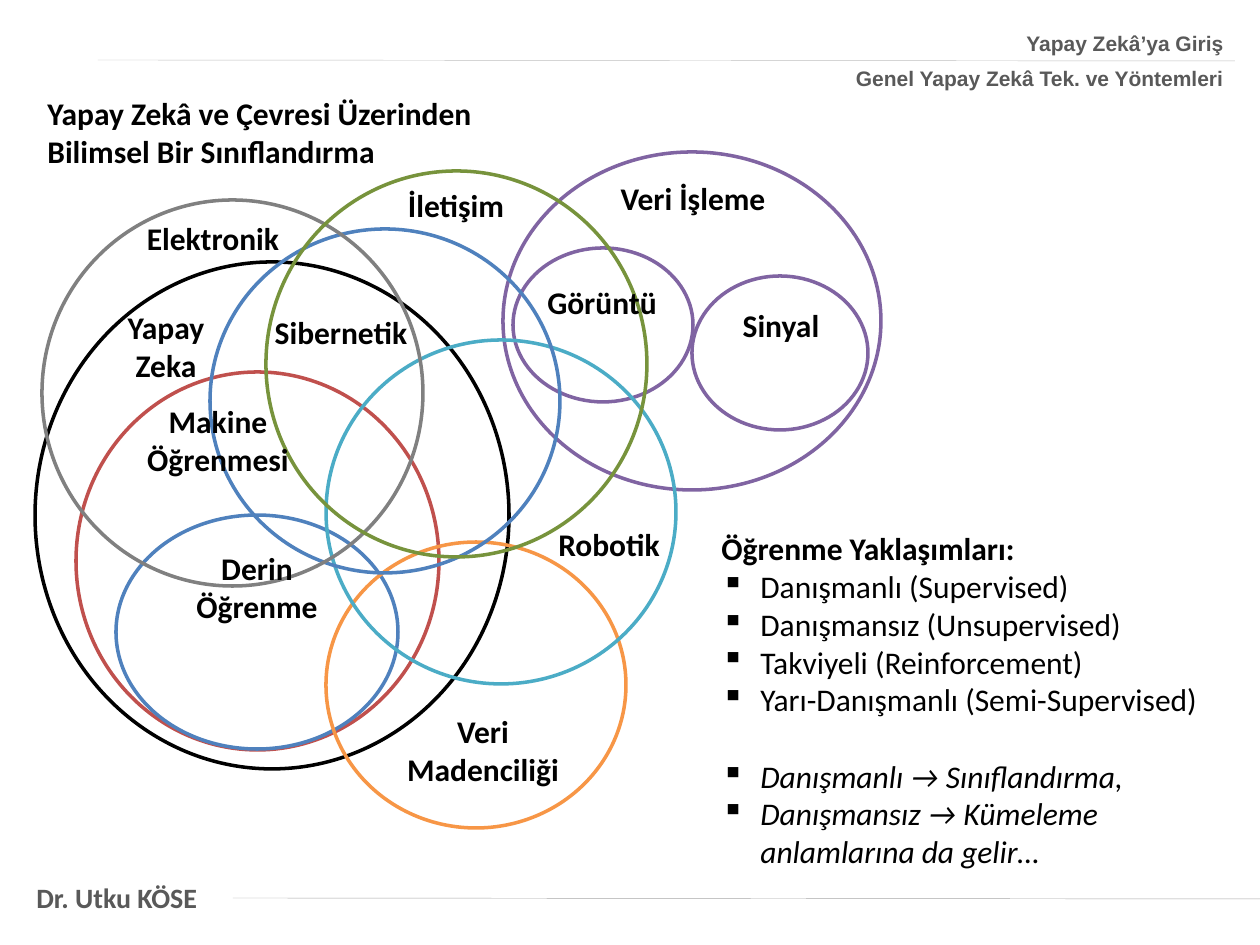
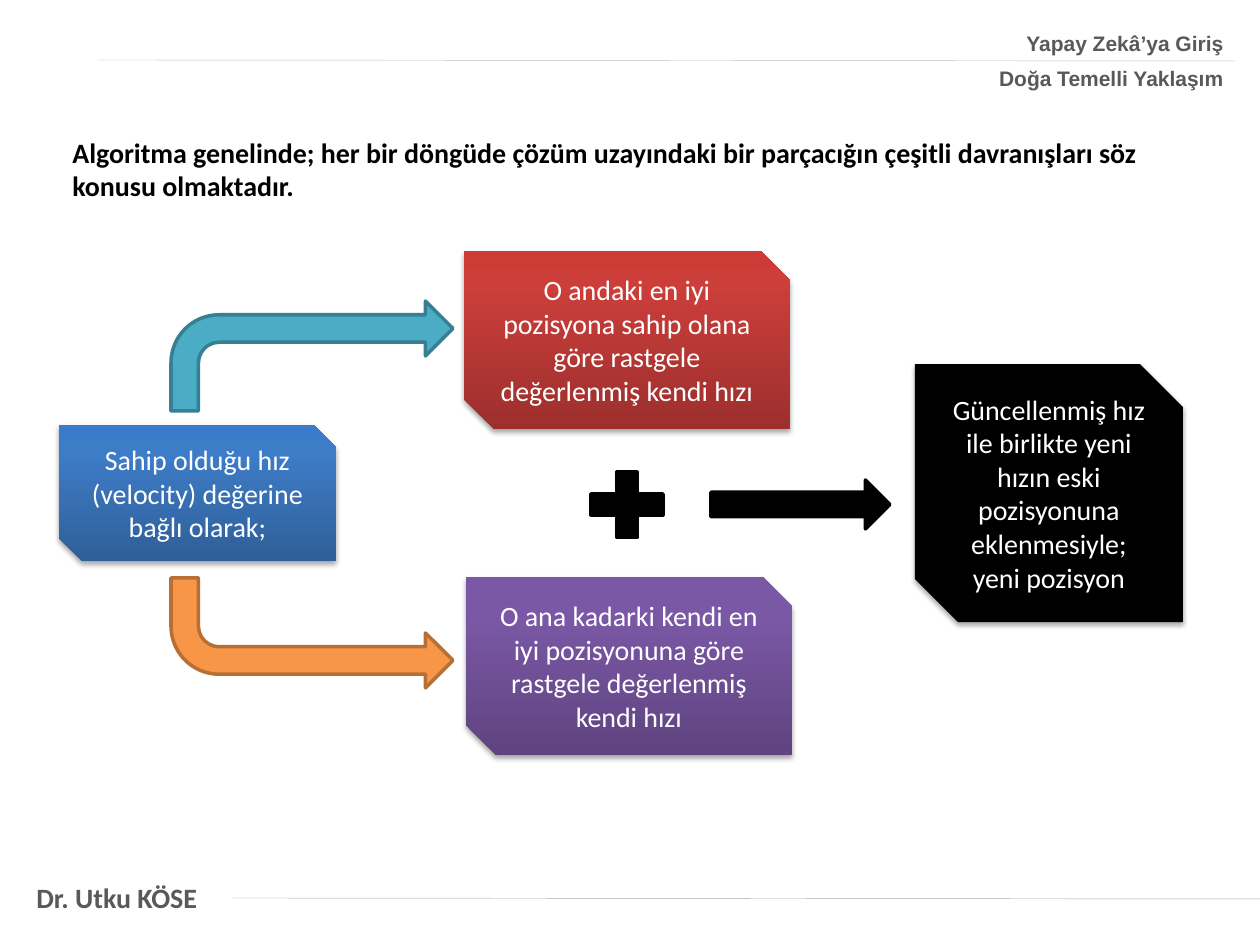
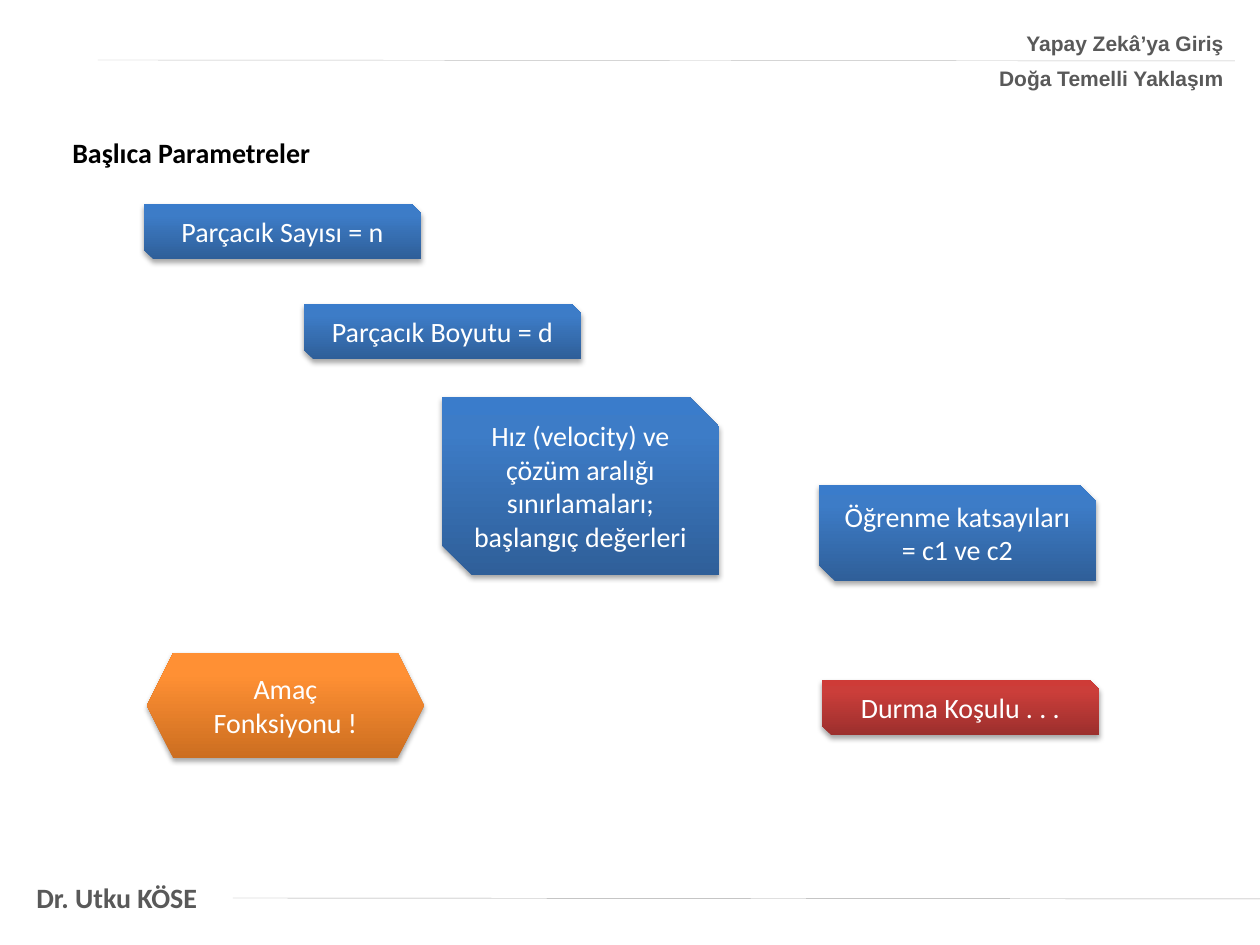
from copy import deepcopy

from lxml import etree
from pptx import Presentation
from pptx.dml.color import RGBColor
from pptx.enum.shapes import MSO_CONNECTOR, MSO_SHAPE as SHAPE
from pptx.enum.text import MSO_ANCHOR, PP_ALIGN as ALIGN
from pptx.oxml.ns import qn
from pptx.util import Inches, Pt

PX = 7257  # EMU in one px, at 126 px to the inch
C = {
    "black": "000000", "white": "FFFFFF", "text_gray": "595959",
    "header_line": "BFBFBF", "footer_line": "A6A6A6", "gray": "808080",
    "red": "C0504D", "blue": "4F81BD", "orange": "F79646", "purple": "8064A2",
    "teal": "4BACC6", "green": "77933C", "dark_teal": "377F92", "dark_orange": "B76F34",
}
# Bottom, 80 % and top colours of the shaded boxes
GRADIENTS = {
    "blue": ("2F5F99", "3D7CC7", "3A7CCB"),
    "red": ("9C2F2D", "CB3E3A", "CE3B37"),
    "purple": ("5F4480", "7B58A6", "7C57A8"),
    "orange": ("CC6E20", "FF9034", "FF9136"),
}


def put_text(tf, lines, size, color="black", bold=True, align=ALIGN.LEFT, font="Calibri"):
    tf.word_wrap = True
    for i, line in enumerate(lines):
        p = tf.paragraphs[0] if i == 0 else tf.add_paragraph()
        p.text = line
        p.alignment = align
        p.font.size = Pt(size)
        p.font.name = font
        p.font.bold = bold
        p.font.color.rgb = RGBColor.from_string(C[color])


def add_shape(s, kind, box, fill=None, line=None):
    sp = s.shapes.add_shape(kind, *(v * PX for v in box))
    sp.shadow.inherit = False
    if fill:
        sp.fill.solid()
        sp.fill.fore_color.rgb = RGBColor.from_string(C[fill])
    else:
        sp.fill.background()
    if line:
        sp.line.color.rgb = RGBColor.from_string(C[line])
        sp.line.width = Pt(2)
    else:
        sp.line.fill.background()
    return sp


prs = Presentation()
prs.slide_width, prs.slide_height = Inches(10), Inches(7.5)

# Header and footer of every slide
slides = []
for topic in ("Genel Yapay Zekâ Tek. ve Yöntemleri", "Doğa Temelli Yaklaşım", "Doğa Temelli Yaklaşım"):
    s = prs.slides.add_slide(prs.slide_layouts[6])
    slides.append(s)
    for ends, color in (((233, 898, 1260, 899), "footer_line"), ((98, 60, 1235, 61), "header_line")):
        rule = s.shapes.add_connector(MSO_CONNECTOR.STRAIGHT, *(v * PX for v in ends))
        rule.line.color.rgb = RGBColor.from_string(C[color])
        rule.line.width = Pt(0.25)
        etree.SubElement(rule._element.spPr, qn("a:effectLst"))
    author = s.shapes.add_textbox(*(v * PX for v in (24, 874, 189, 47))).text_frame
    put_text(author, ["Dr. Utku KÖSE"], 16, "text_gray")
    header = s.shapes.add_textbox(*(v * PX for v in (719, 24, 517, 74))).text_frame
    put_text(header, ["Yapay Zekâ’ya Giriş", topic], 12, "text_gray", align=ALIGN.RIGHT, font="Arial")
    for p in header.paragraphs:
        p.space_after = Pt(6)

# Titles: slide, box, size, lines
for s, box, size, lines in (
    (slides[0], (35, 88, 539, 89), 18, ["Yapay Zekâ ve Çevresi Üzerinden", "Bilimsel Bir Sınıflandırma"]),
    (slides[1], (60, 129, 1160, 81), 16, ["Algoritma genelinde; her bir döngüde çözüm uzayındaki bir "
                                          "parçacığın çeşitli davranışları söz konusu olmaktadır."]),
    (slides[2], (60, 129, 1160, 47), 16, ["Başlıca Parametreler"]),
):
    put_text(s.shapes.add_textbox(*(v * PX for v in box)).text_frame, lines, size)

# Slide 1: overlapping fields
s = slides[0]
for color, *box in (
    ("black", 35, 262, 474, 507),
    ("red", 76, 372, 363, 378),
    ("blue", 116, 515, 282, 234),
    ("orange", 326, 542, 300, 286),
    ("purple", 503, 152, 378, 338),
    ("purple", 513, 248, 180, 154),
    ("purple", 692, 276, 176, 154),
    ("teal", 326, 340, 350, 344),
    ("blue", 210, 229, 350, 344),
    ("gray", 42, 200, 381, 386),
    ("green", 266, 171, 381, 386),
):
    add_shape(s, SHAPE.OVAL, box, line=color)

for label, x, y in (
    ("Yapay\nZeka", 69, 302), ("Makine\nÖğrenmesi", 121, 396), ("Derin\nÖğrenme", 160, 543),
    ("Veri\nMadenciliği", 386, 706), ("Veri İşleme", 596, 173), ("Görüntü", 505, 277),
    ("Sinyal", 684, 300), ("Sibernetik", 244, 307), ("Robotik", 512, 519),
    ("Elektronik", 116, 213), ("İletişim", 359, 180),
):
    lines = label.split("\n")
    tb = s.shapes.add_textbox(x * PX, y * PX, 194 * PX, (12 + 38 * len(lines)) * PX)
    put_text(tb.text_frame, lines, 18, align=ALIGN.CENTER)

# Slide 1: learning approaches
tf = s.shapes.add_textbox(*(v * PX for v in (709, 523, 535, 357))).text_frame
approaches = [
    "Öğrenme Yaklaşımları:",
    "Danışmanlı (Supervised)",
    "Danışmansız (Unsupervised)",
    "Takviyeli (Reinforcement)",
    "Yarı-Danışmanlı (Semi-Supervised)",
    "Danışmanlı → Sınıflandırma,",
    "Danışmansız → Kümeleme\nanlamlarına da gelir…",
]
put_text(tf, approaches, 18)
for i, p in enumerate(tf.paragraphs[1:], 1):
    pPr = p._p.get_or_add_pPr()
    pPr.set("marL", str(39 * PX))
    pPr.set("indent", str(-39 * PX))
    bullet = etree.Element(qn("a:buChar"), char="▪")
    pPr.find(qn("a:defRPr")).addprevious(bullet)
    p.font.bold = False
    p.font.italic = i >= 5
tf.paragraphs[5].space_before = Pt(22)

# Slide 2: arrows and plus sign
s = slides[1]
add_shape(s, SHAPE.BENT_ARROW, (171, 301, 282, 110), "teal", "dark_teal")
down = add_shape(s, SHAPE.BENT_ARROW, (171, 578, 282, 110), "orange", "dark_orange")
down._element.spPr.find(qn("a:xfrm")).set("flipV", "1")
add_shape(s, SHAPE.MATH_PLUS, (578, 460, 98, 89), "black", "black")
add_shape(s, SHAPE.RIGHT_ARROW, (711, 480, 179, 49), "black", "black")

# Slides 2 and 3: boxes with a shadow
SNIP = SHAPE.SNIP_2_DIAG_RECTANGLE
for s, kind, color, box, text in (
    (slides[1], SNIP, "blue", (59, 425, 277, 136), "Sahip olduğu hız (velocity) değerine bağlı olarak;"),
    (slides[1], SNIP, "red", (464, 251, 326, 178),
     "O andaki en iyi pozisyona sahip olana göre rastgele değerlenmiş kendi hızı"),
    (slides[1], SNIP, "purple", (466, 577, 326, 178),
     "O ana kadarki kendi en iyi pozisyonuna göre rastgele değerlenmiş kendi hızı"),
    (slides[1], SNIP, "black", (915, 364, 268, 258),
     "Güncellenmiş hız ile birlikte yeni hızın eski pozisyonuna eklenmesiyle; yeni pozisyon"),
    (slides[2], SNIP, "blue", (144, 204, 277, 55), "Parçacık Sayısı = n"),
    (slides[2], SNIP, "blue", (304, 304, 277, 55), "Parçacık Boyutu = d"),
    (slides[2], SNIP, "blue", (442, 397, 277, 178),
     "Hız (velocity) ve çözüm aralığı sınırlamaları; başlangıç değerleri"),
    (slides[2], SNIP, "blue", (819, 485, 277, 96), "Öğrenme katsayıları = c1 ve c2"),
    (slides[2], SNIP, "red", (822, 680, 277, 55), "Durma Koşulu . . ."),
    (slides[2], SHAPE.HEXAGON, "orange", (147, 653, 277, 105), "Amaç Fonksiyonu !"),
):
    sp = add_shape(s, kind, box, color)
    spPr = sp._element.spPr
    if color in GRADIENTS:
        sp.fill.gradient()
        sp.fill.gradient_angle = 90
        stops = spPr.find(".//" + qn("a:gsLst"))
        stops.append(deepcopy(stops[-1]))
        for stop, position, shade in zip(sp.fill.gradient_stops, (0, 0.8, 1), GRADIENTS[color]):
            stop.position = position
            stop.color.rgb = RGBColor.from_string(shade)
    shadow = etree.SubElement(spPr.find(qn("a:effectLst")), qn("a:outerShdw"), blurRad=str(Pt(3.1)),
                              dist=str(Pt(1.8)), dir="5400000", rotWithShape="0")
    tint = etree.SubElement(shadow, qn("a:srgbClr"), val=C["black"])
    etree.SubElement(tint, qn("a:alpha"), val="35000")
    put_text(sp.text_frame, [text], 16, "white", False, ALIGN.CENTER)
    sp.text_frame.vertical_anchor = MSO_ANCHOR.MIDDLE

prs.save("out.pptx")
